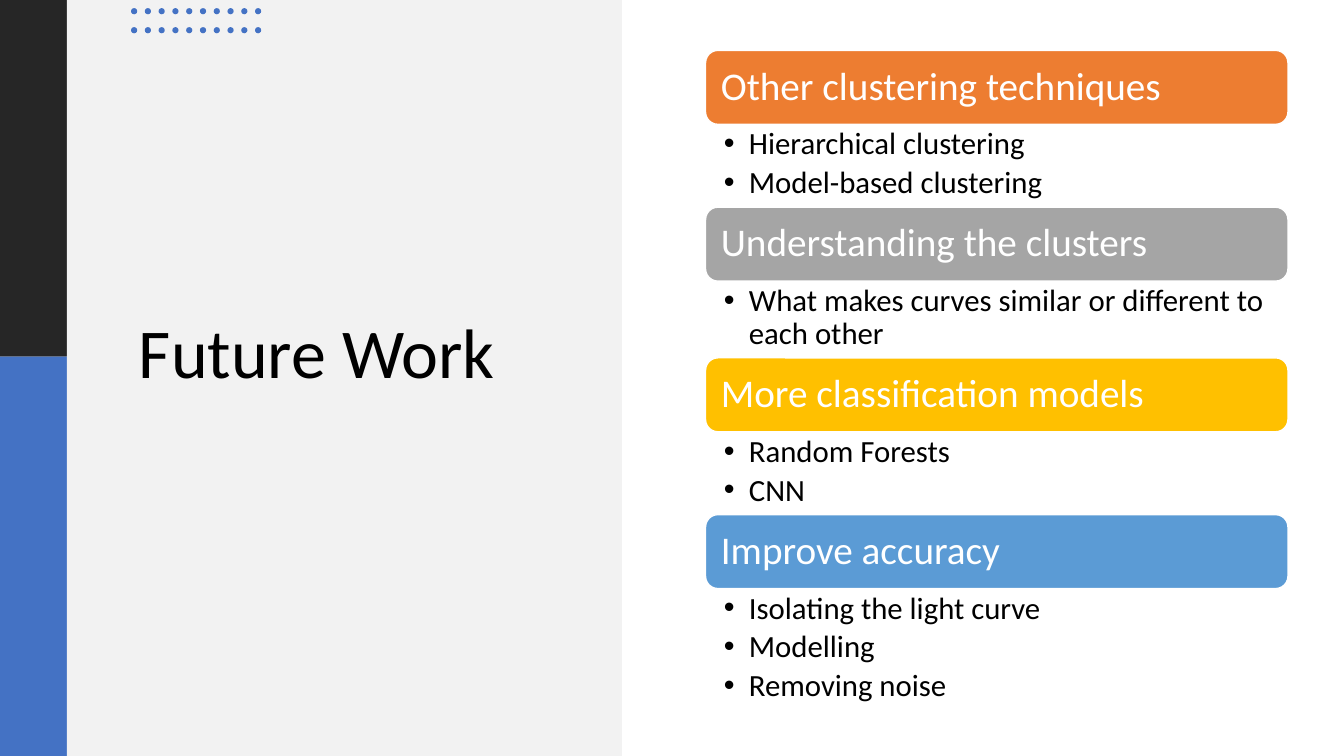
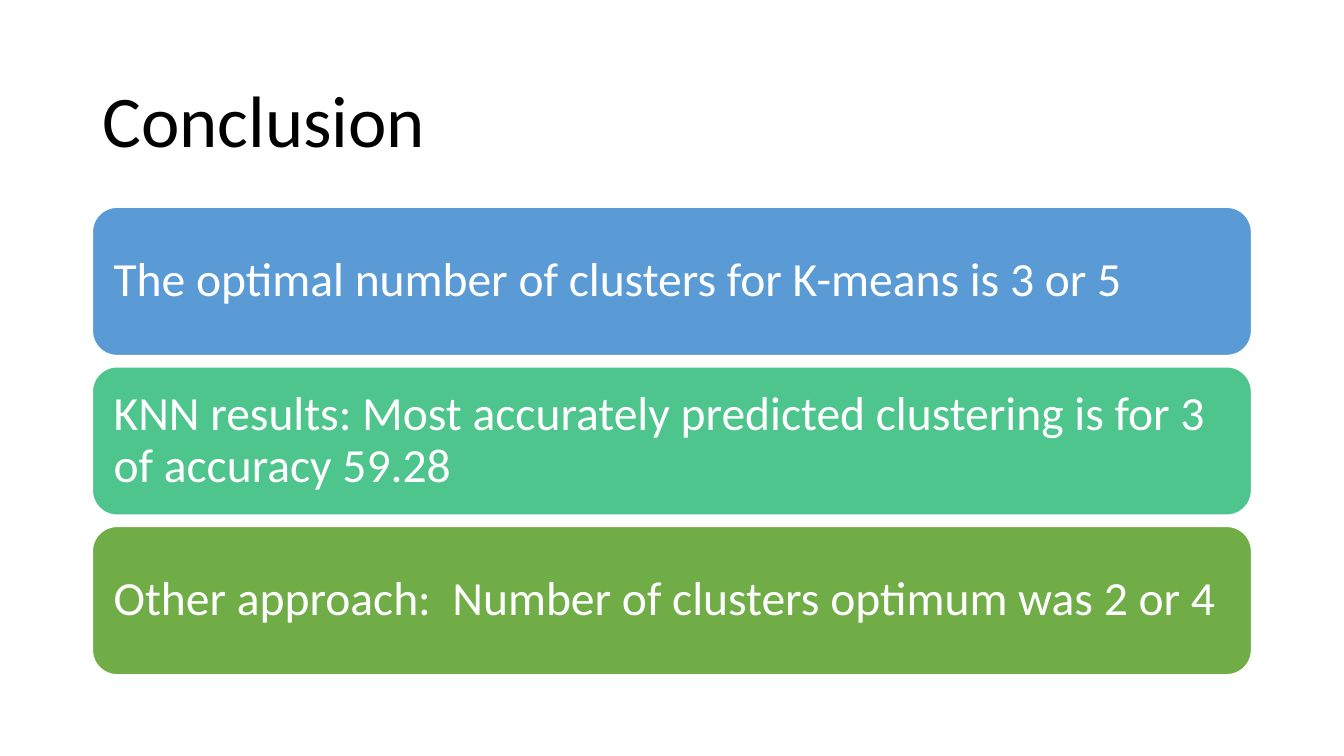
"""Build the future work and conclusion slides of a clustering talk."""
from lxml.etree import SubElement
from pptx import Presentation
from pptx.dml.color import RGBColor
from pptx.enum.shapes import MSO_SHAPE
from pptx.enum.text import MSO_ANCHOR, MSO_AUTO_SIZE, PP_ALIGN
from pptx.oxml.ns import qn
from pptx.util import Pt

FONT = "Calibri"
TITLE_ONLY = 5
BLACK = RGBColor(0x00, 0x00, 0x00)
WHITE = RGBColor(0xFF, 0xFF, 0xFF)
CHARCOAL = RGBColor(0x26, 0x26, 0x26)
PALE_GRAY = RGBColor(0xF2, 0xF2, 0xF2)
ROYAL_BLUE = RGBColor(0x44, 0x72, 0xC4)
ORANGE = RGBColor(0xED, 0x7D, 0x31)
GRAY = RGBColor(0xA5, 0xA5, 0xA5)
GOLD = RGBColor(0xFF, 0xC0, 0x00)
SKY_BLUE = RGBColor(0x5B, 0x9B, 0xD5)
MINT = RGBColor(0x4D, 0xC5, 0x8D)
GREEN = RGBColor(0x70, 0xAD, 0x47)

TOPICS = [
    ("Other clustering techniques", ORANGE, 59.2,
     ["Hierarchical clustering", "Model-based clustering"]),
    ("Understanding the clusters", GRAY, 54.8,
     ["What makes curves similar or different to each other"]),
    ("More classification models", GOLD, 59.2, ["Random Forests", "CNN"]),
    ("Improve accuracy", SKY_BLUE, 89.2,
     ["Isolating the light curve", "Modelling", "Removing noise"]),
]
FINDINGS = [
    ("The optimal number of clusters for K-means is 3 or 5", SKY_BLUE),
    ("KNN results: Most accurately predicted clustering is for 3 of accuracy 59.28", MINT),
    ("Other approach:  Number of clusters optimum was 2 or 4", GREEN),
]


def write(paragraph, text, size, color):
    """Write one left-aligned run with the deck's font and line spacing."""
    paragraph.alignment = PP_ALIGN.LEFT
    paragraph.line_spacing = 0.9
    run = paragraph.add_run()
    run.text = text
    run.font.name = FONT
    run.font.size = Pt(size)
    run.font.color.rgb = color


def set_margins(frame, left, top, right, bottom):
    """Set the four inner margins of a wrapping text frame."""
    frame.word_wrap = True
    frame.margin_left, frame.margin_top = Pt(left), Pt(top)
    frame.margin_right, frame.margin_bottom = Pt(right), Pt(bottom)


def add_title(slide, text, box, size):
    """Place and style the title above the panels drawn so far."""
    title = slide.shapes.title
    title.left, title.top, title.width, title.height = map(Pt, box)
    title.element.getparent().append(title.element)
    frame = title.text_frame
    frame.auto_size = MSO_AUTO_SIZE.NONE
    frame.vertical_anchor = MSO_ANCHOR.MIDDLE
    write(frame.paragraphs[0], text, size, BLACK)


def add_block(slide, kind, box, color):
    """Add a flat filled shape without an outline."""
    block = slide.shapes.add_shape(kind, *map(Pt, box))
    block.shadow.inherit = False
    block.fill.solid()
    block.fill.fore_color.rgb = color
    block.line.fill.background()
    return block


def add_banner(slide, text, box, color, size, margin):
    """Add a rounded banner with white text."""
    banner = add_block(slide, MSO_SHAPE.ROUNDED_RECTANGLE, box, color)
    banner.line.color.rgb = WHITE
    banner.line.width = Pt(1)
    frame = banner.text_frame
    set_margins(frame, margin, margin, margin, margin)
    frame.vertical_anchor = MSO_ANCHOR.MIDDLE
    write(frame.paragraphs[0], text, size, WHITE)


def add_bullets(slide, items, box):
    """Add a bulleted list in a text box."""
    frame = slide.shapes.add_textbox(*map(Pt, box)).text_frame
    set_margins(frame, 13, 2.8, 16, 2.8)
    for index, item in enumerate(items):
        paragraph = frame.add_paragraph() if index else frame.paragraphs[0]
        write(paragraph, item, 22, BLACK)
        paragraph.space_after = Pt(4)
        properties = paragraph._p.get_or_add_pPr()
        properties.set("marL", str(Pt(18)))
        properties.set("indent", str(Pt(-18)))
        SubElement(properties, qn("a:buFont"), typeface="Arial")
        SubElement(properties, qn("a:buChar"), char="•")


def add_dots(slide):
    """Add the two rows of ten dots at the top of the panel."""
    for row in range(2):
        for column in range(10):
            box = (93.6 + 9.84 * column, 5.8 + 13.6 * row, 4.4, 4.4)
            add_block(slide, MSO_SHAPE.OVAL, box, ROYAL_BLUE)


def build_future_work(slide):
    """Build the slide with the side panel and the stacked topics."""
    for box, color in [((0, 0, 47.8, 254.8), CHARCOAL),
                       ((0, 254.8, 47.8, 285.2), ROYAL_BLUE),
                       ((47.8, 0, 396.5, 540), PALE_GRAY)]:
        add_block(slide, MSO_SHAPE.RECTANGLE, box, color)
    add_title(slide, "Future Work", (92, 94, 297, 321), 50)
    add_dots(slide)
    left, top, width, banner_height = 504, 36, 416, 52.8
    for heading, color, list_height, items in TOPICS:
        add_banner(slide, heading, (left, top, width, banner_height), color, 28, 8.4)
        top += banner_height
        add_bullets(slide, items, (left, top, width, list_height))
        top += list_height


def build_conclusion(slide):
    """Build the slide with one banner for each finding."""
    left, width = 66, 828
    add_title(slide, "Conclusion", (left, 44, width, 89), 52)
    for index, (finding, color) in enumerate(FINDINGS):
        box = (left, 148 + 114 * index, width, 106)
        add_banner(slide, finding, box, color, 34, 10)


def main():
    """Build and save the deck."""
    deck = Presentation()
    deck.slide_width, deck.slide_height = Pt(960), Pt(540)
    for build in (build_future_work, build_conclusion):
        build(deck.slides.add_slide(deck.slide_layouts[TITLE_ONLY]))
    deck.save("out.pptx")


if __name__ == "__main__":
    main()
